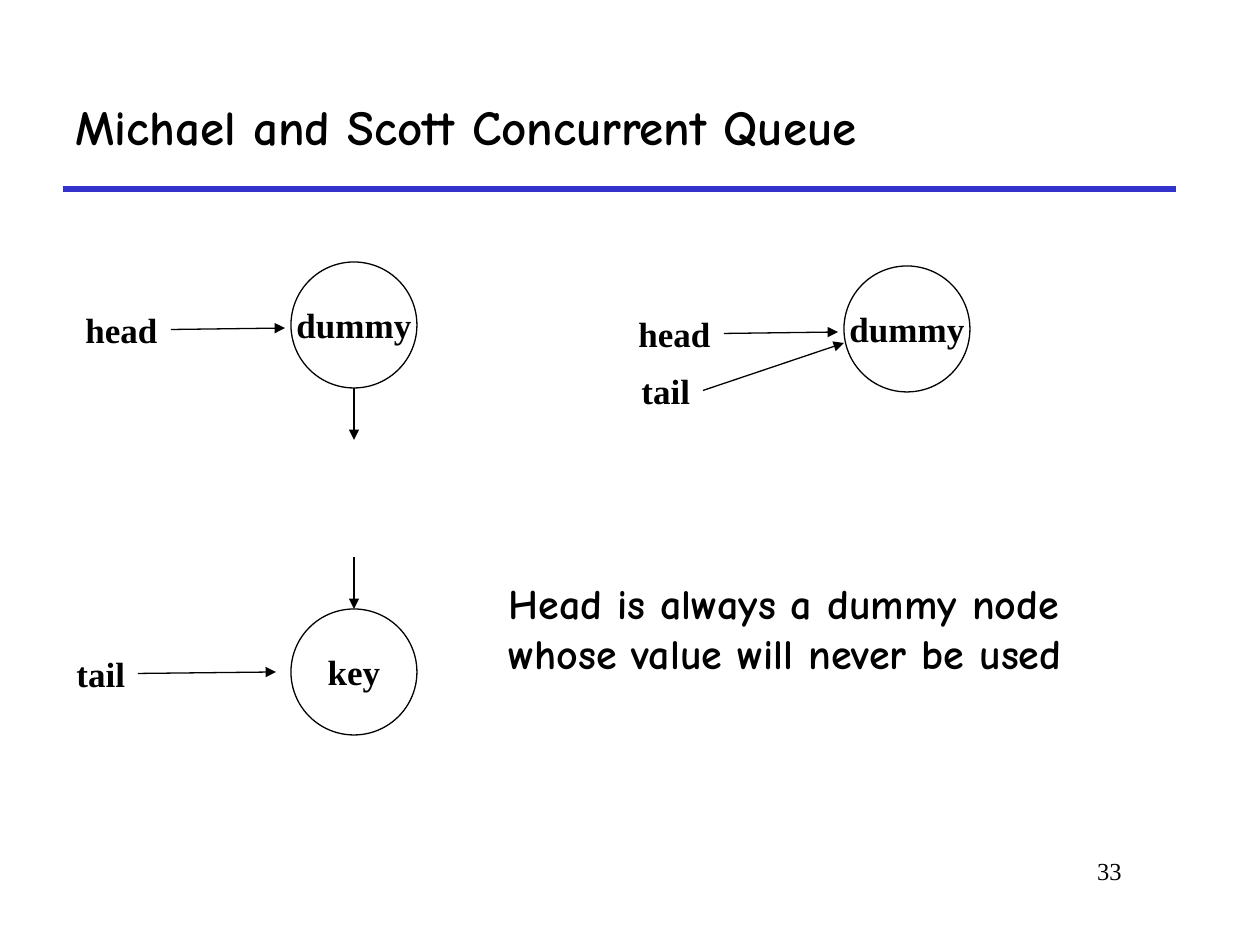
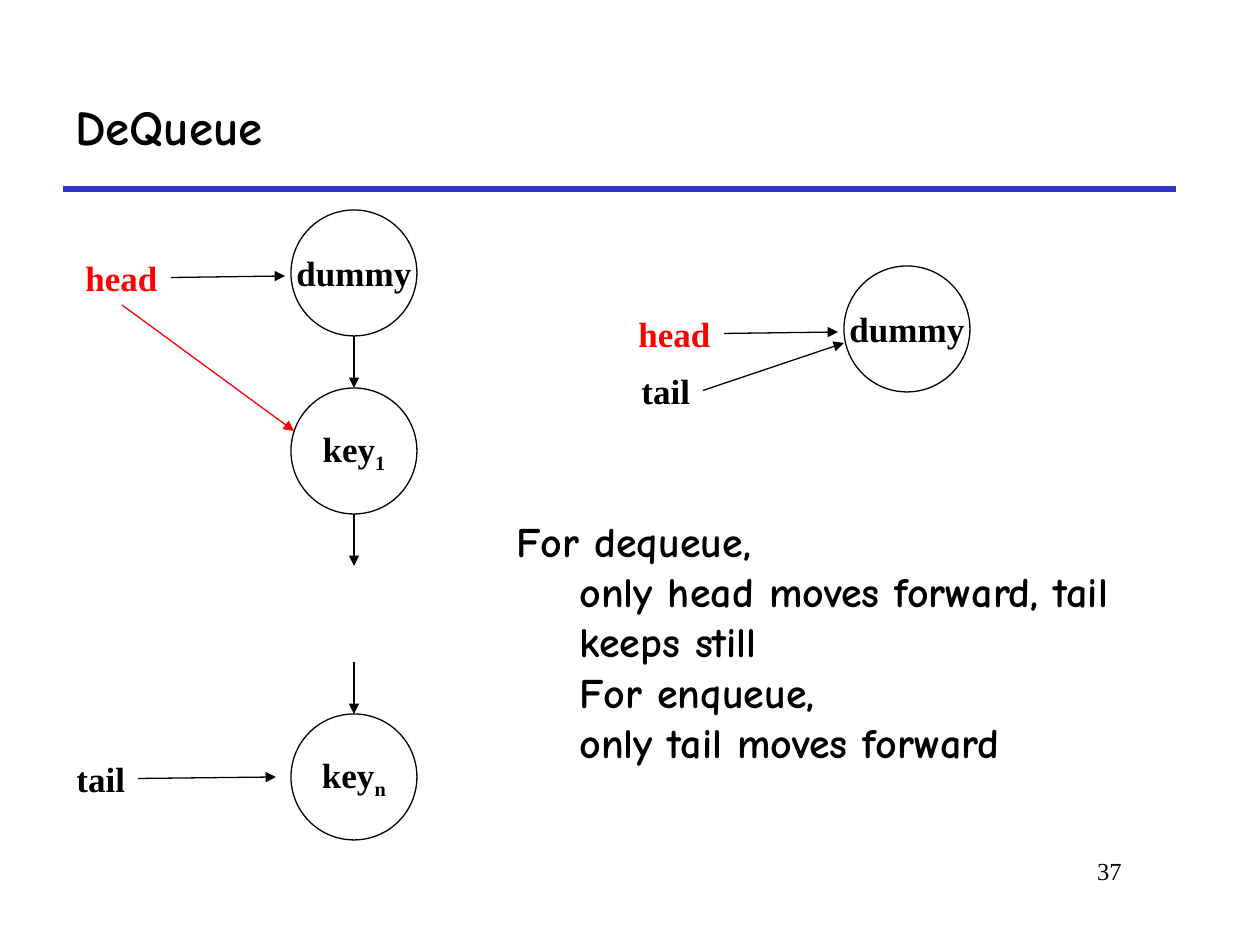
import dataclasses
import typing

import lxml.etree
import pptx
import pptx.dml.color
import pptx.enum.shapes
import pptx.enum.text
import pptx.oxml.ns
import pptx.util

RGB = pptx.dml.color.RGBColor
ALIGN = pptx.enum.text.PP_ALIGN
ANCHOR = pptx.enum.text.MSO_ANCHOR
PIXELS_PER_INCH = 126
TOP, BOTTOM, RIGHT = 0, 2, 3


@dataclasses.dataclass(frozen=True)
class Theme:
    ink: RGB = RGB(0x00, 0x00, 0x00)
    paper: RGB = RGB(0xFF, 0xFF, 0xFF)
    rule: RGB = RGB(0x33, 0x33, 0xCC)
    highlight: RGB = RGB(0xFF, 0x00, 0x00)
    heading_font: str = "Comic Neue"
    label_font: str = "Times New Roman"
    title_size: int = 28
    body_size: int = 24
    label_size: int = 20
    number_size: int = 14
    rule_width: float = 3
    line_width: float = 0.75


THEME = Theme()


class Point(typing.NamedTuple):
    x: int
    y: int


class Box(typing.NamedTuple):
    left: int
    top: int
    width: int
    height: int


@dataclasses.dataclass(frozen=True)
class Node:
    text: str
    left: int
    top: int
    subscript: str = ""
    link_in: bool = False
    link_out: bool = False


@dataclasses.dataclass(frozen=True)
class Pointer:
    text: str
    box: Box
    target: Point
    color: RGB = THEME.ink


NODE_SIZE = 126
LINK_LENGTH = 52
LABEL_HEIGHT = 55
HEAD_WIDTH = 98
TAIL_WIDTH = 74
QUEUE_LEFT = 291
EMPTY_NODE = Node("dummy", 844, 266)


def px(value: int) -> pptx.util.Emu:
    return pptx.util.Emu(round(value * 914400 / PIXELS_PER_INCH))


def write_text(
    shape,
    text: str,
    *,
    font: str = THEME.label_font,
    size: int = THEME.label_size,
    color: RGB = THEME.ink,
    bold: bool = True,
    align: ALIGN = ALIGN.LEFT,
    anchor: ANCHOR = ANCHOR.TOP,
    wrap: bool = True,
    subscript: str = "",
    later_indent: int = 0,
) -> None:
    frame = shape.text_frame
    frame.word_wrap = wrap
    frame.vertical_anchor = anchor
    for index, line in enumerate(text.split("\n")):
        paragraph = frame.add_paragraph() if index else frame.paragraphs[0]
        paragraph.alignment = align
        if index and later_indent:
            properties = paragraph._p.get_or_add_pPr()
            properties.set("marL", str(px(later_indent)))
            properties.set("indent", "0")
        for part, baseline in ((line, None), (subscript, "-25000")):
            if not part:
                continue
            run = paragraph.add_run()
            run.text = part
            run.font.name = font
            run.font.size = pptx.util.Pt(size)
            run.font.bold = bold
            run.font.color.rgb = color
            if baseline:
                run._r.get_or_add_rPr().set("baseline", baseline)


def add_text(slide, box: Box, text: str, **text_format):
    shape = slide.shapes.add_textbox(*map(px, box))
    write_text(shape, text, **text_format)
    return shape


def add_line(
    slide,
    start: Point,
    end: Point,
    color: RGB = THEME.ink,
    width: float = THEME.line_width,
    arrow: bool = True,
):
    connector = slide.shapes.add_connector(
        pptx.enum.shapes.MSO_CONNECTOR.STRAIGHT, *map(px, (*start, *end))
    )
    connector.line.color.rgb = color
    connector.line.width = pptx.util.Pt(width)
    if arrow:
        tail = lxml.etree.SubElement(
            connector.line._get_or_add_ln(), pptx.oxml.ns.qn("a:tailEnd")
        )
        tail.set("type", "triangle")
    lxml.etree.SubElement(
        connector._element.spPr, pptx.oxml.ns.qn("a:effectLst")
    )
    return connector


def add_node(slide, node: Node) -> None:
    circle = slide.shapes.add_shape(
        pptx.enum.shapes.MSO_SHAPE.OVAL,
        *map(px, (node.left, node.top, NODE_SIZE, NODE_SIZE)),
    )
    circle.shadow.inherit = False
    circle.fill.background()
    circle.line.color.rgb = THEME.ink
    circle.line.width = pptx.util.Pt(THEME.line_width)
    write_text(
        circle,
        node.text,
        align=ALIGN.CENTER,
        anchor=ANCHOR.MIDDLE,
        wrap=False,
        subscript=node.subscript,
    )
    middle = node.left + NODE_SIZE // 2
    if node.link_in:
        link = add_line(
            slide, Point(middle, node.top - LINK_LENGTH), Point(middle, node.top)
        )
        link.end_connect(circle, TOP)
    if node.link_out:
        bottom = node.top + NODE_SIZE
        add_line(slide, Point(middle, bottom), Point(middle, bottom + LINK_LENGTH))


def head_pointer(node: Node, color: RGB) -> Pointer:
    box = Box(node.left - 218, node.top + 40, HEAD_WIDTH, LABEL_HEIGHT)
    return Pointer("head", box, Point(node.left - 6, node.top + 66), color)


def tail_pointer(node: Node) -> Pointer:
    box = Box(node.left - 227, node.top + 37, TAIL_WIDTH, LABEL_HEIGHT)
    return Pointer("tail", box, Point(node.left - 15, node.top + 63))


def add_pointer(slide, pointer: Pointer):
    label = add_text(
        slide, pointer.box, pointer.text, color=pointer.color, wrap=False
    )
    start = Point(pointer.box.left + pointer.box.width, pointer.target.y)
    add_line(slide, start, pointer.target).begin_connect(label, RIGHT)
    return label


def add_queue(slide, nodes: typing.Sequence[Node], head_color: RGB):
    for node in nodes:
        add_node(slide, node)
    add_pointer(slide, tail_pointer(nodes[-1]))
    return add_pointer(slide, head_pointer(nodes[0], head_color))


def add_empty_queue(slide, head_color: RGB) -> None:
    add_node(slide, EMPTY_NODE)
    tail_box = Box(629, 363, TAIL_WIDTH, LABEL_HEIGHT)
    add_pointer(slide, Pointer("tail", tail_box, Point(EMPTY_NODE.left, 343)))
    add_pointer(slide, head_pointer(EMPTY_NODE, head_color))


def add_base_slide(presentation, title: str, number: int):
    slide = presentation.slides.add_slide(presentation.slide_layouts[6])
    slide.background.fill.solid()
    slide.background.fill.fore_color.rgb = THEME.paper
    add_line(
        slide,
        Point(63, 189),
        Point(1176, 189),
        color=THEME.rule,
        width=THEME.rule_width,
        arrow=False,
    )
    add_text(
        slide,
        Box(955, 850, 179, 63),
        str(number),
        size=THEME.number_size,
        bold=False,
        align=ALIGN.RIGHT,
    )
    add_text(
        slide,
        Box(63, 63, 1113, 126),
        title,
        font=THEME.heading_font,
        size=THEME.title_size,
        anchor=ANCHOR.MIDDLE,
    )
    return slide


def add_body(slide, box: Box, text: str, later_indent: int = 0) -> None:
    add_text(
        slide,
        box,
        text,
        font=THEME.heading_font,
        size=THEME.body_size,
        later_indent=later_indent,
    )


def build_concurrent_queue(presentation) -> None:
    slide = add_base_slide(presentation, "Michael and Scott Concurrent Queue", 33)
    nodes = (
        Node("dummy", QUEUE_LEFT, 262, link_out=True),
        Node("key", QUEUE_LEFT, 609, link_in=True),
    )
    add_queue(slide, nodes, THEME.ink)
    add_empty_queue(slide, THEME.ink)
    add_body(
        slide,
        Box(496, 571, 685, 115),
        "Head is always a dummy node whose value will never be used",
    )


def build_dequeue(presentation) -> None:
    slide = add_base_slide(presentation, "DeQueue", 37)
    nodes = (
        Node("dummy", QUEUE_LEFT, 210),
        Node("key", QUEUE_LEFT, 388, "1", link_in=True, link_out=True),
        Node("key", QUEUE_LEFT, 714, "n", link_in=True),
    )
    head = add_queue(slide, nodes, THEME.highlight)
    moved_head = add_line(
        slide, Point(122, 305), Point(294, 431), color=THEME.highlight
    )
    moved_head.begin_connect(head, BOTTOM)
    add_empty_queue(slide, THEME.highlight)
    add_body(
        slide,
        Box(504, 509, 620, 267),
        "For dequeue,\nonly head moves forward, tail keeps still\n"
        "For enqueue,\nonly tail moves forward",
        later_indent=63,
    )


def main() -> None:
    presentation = pptx.Presentation()
    presentation.slide_width = px(1260)
    presentation.slide_height = px(945)
    build_concurrent_queue(presentation)
    build_dequeue(presentation)
    presentation.save("out.pptx")


if __name__ == "__main__":
    main()
